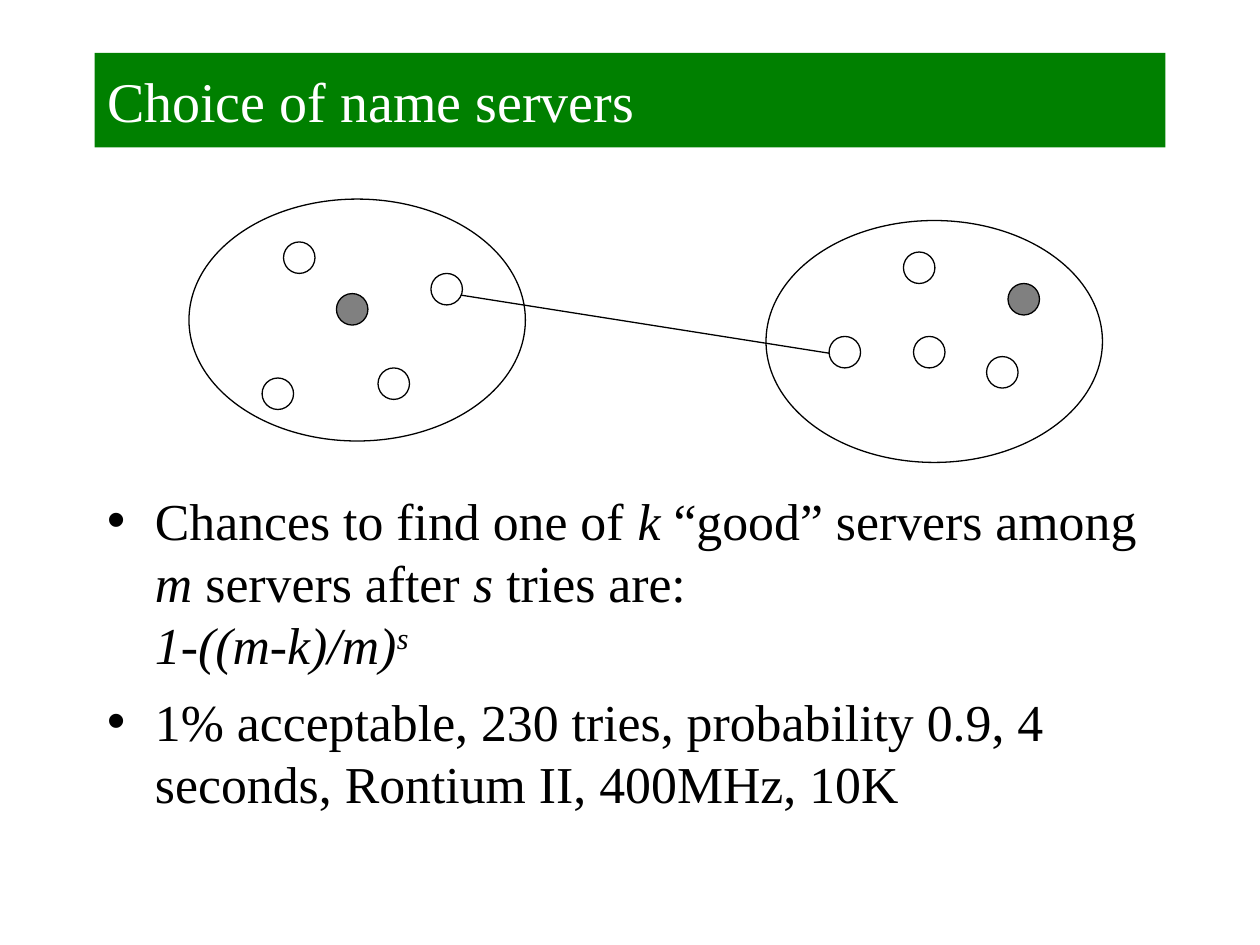
"""Build the slide on the choice of name servers."""
from lxml.etree import SubElement as Sub
from pptx import Presentation
from pptx.dml.color import RGBColor
from pptx.enum.shapes import MSO_CONNECTOR as Conn, MSO_SHAPE as Kind
from pptx.enum.text import MSO_ANCHOR as Anchor, MSO_AUTO_SIZE as Fit, PP_ALIGN as Align
from pptx.oxml.ns import qn
from pptx.util import Inches, Pt


def color(code):
    return RGBColor.from_string(code)


def write(para, text, size=29.6, font="Times New Roman", ink="000000", ital=False, base=0):
    run = para.add_run()
    run.text = text
    face = run.font
    face.name, face.size, face.italic = font, Pt(size), ital
    face.color.rgb = color(ink)
    if base:
        run._r.get_or_add_rPr().set("baseline", str(base * 1000))


class Deck:
    ink, paper, band, good = "000000", "FFFFFF", "008000", "808080"
    width, dot = 0.75, 0.25

    def __init__(self):
        self.show = Presentation()
        self.show.slide_width, self.show.slide_height = Inches(10), Inches(7.5)
        self.slide = self.show.slides.add_slide(self.show.slide_layouts[1])

    def place(self, shape, left, top, wide, high, anchor):
        shape.left, shape.top = Inches(left), Inches(top)
        shape.width, shape.height = Inches(wide), Inches(high)
        frame = shape.text_frame
        frame.word_wrap, frame.auto_size = True, Fit.NONE
        frame.vertical_anchor = anchor
        return frame

    def title(self, text, *area):
        shape = self.slide.shapes.title
        shape.fill.solid()
        shape.fill.fore_color.rgb = color(self.band)
        para = self.place(shape, *area, Anchor.MIDDLE).paragraphs[0]
        para.alignment = Align.LEFT
        write(para, text, size=32, ink=self.paper)

    def items(self, rows, *area):
        frame = self.place(self.slide.placeholders[1], *area, Anchor.TOP)
        for num, row in enumerate(rows):
            para = frame.add_paragraph() if num else frame.paragraphs[0]
            para.space_before = Pt(8)
            props = para._p.get_or_add_pPr()
            props.set("marL", str(Inches(0.38)))
            props.set("indent", str(-Inches(0.38)))
            Sub(props, qn("a:buChar"), char="•")
            for part in row:
                if part is None:
                    para.add_line_break()
                else:
                    text, form = part
                    write(para, text, **form)

    def oval(self, left, top, wide, high, fill=None):
        shape = self.slide.shapes.add_shape(
            Kind.OVAL, Inches(left), Inches(top), Inches(wide), Inches(high))
        shape.shadow.inherit = False
        if fill:
            shape.fill.solid()
            shape.fill.fore_color.rgb = color(fill)
        else:
            shape.fill.background()
        self.stroke(shape)

    def stroke(self, shape):
        shape.line.color.rgb = color(self.ink)
        shape.line.width = Pt(self.width)

    def link(self, *ends):
        line = self.slide.shapes.add_connector(Conn.STRAIGHT, *map(Inches, ends))
        self.stroke(line)
        Sub(line._element.spPr, qn("a:effectLst"))

    def group(self, left, top, dots, good):
        for spot in dots:
            fill = self.good if spot == good else self.paper
            self.oval(*spot, self.dot, self.dot, fill)
        self.oval(left, top, 2.67, 1.92)


def main():
    deck = Deck()
    deck.title("Choice of name servers", 0.75, 0.42, 8.5, 0.75)
    deck.link(3.58, 2.33, 6.75, 2.83)
    deck.group(1.5, 1.58, [(2.25, 1.92), (2.67, 2.33), (3.42, 2.17), (3, 2.92), (2.08, 3)],
               good=(2.67, 2.33))
    deck.group(6.08, 1.75, [(7.17, 2), (7.25, 2.67), (8, 2.25), (7.83, 2.83), (6.58, 2.67)],
               good=(8, 2.25))
    flat, ital = {}, {"ital": True}
    deck.items([
        [("Chances to find one of ", flat), ("k", ital), (" “good” servers among ", flat),
         ("m", ital), (" servers after ", flat), ("s", ital), (" tries are:", flat), None,
         ("1-((m-k)/m)", ital), ("s", {"ital": True, "base": 30})],
        [("1% acceptable, 230 tries, probability 0.9, 4 seconds, Rontium II, 400MHz, 10K", flat)],
    ], 0.75, 3.83, 8.5, 2.83)
    deck.show.save("out.pptx")


if __name__ == "__main__":
    main()
